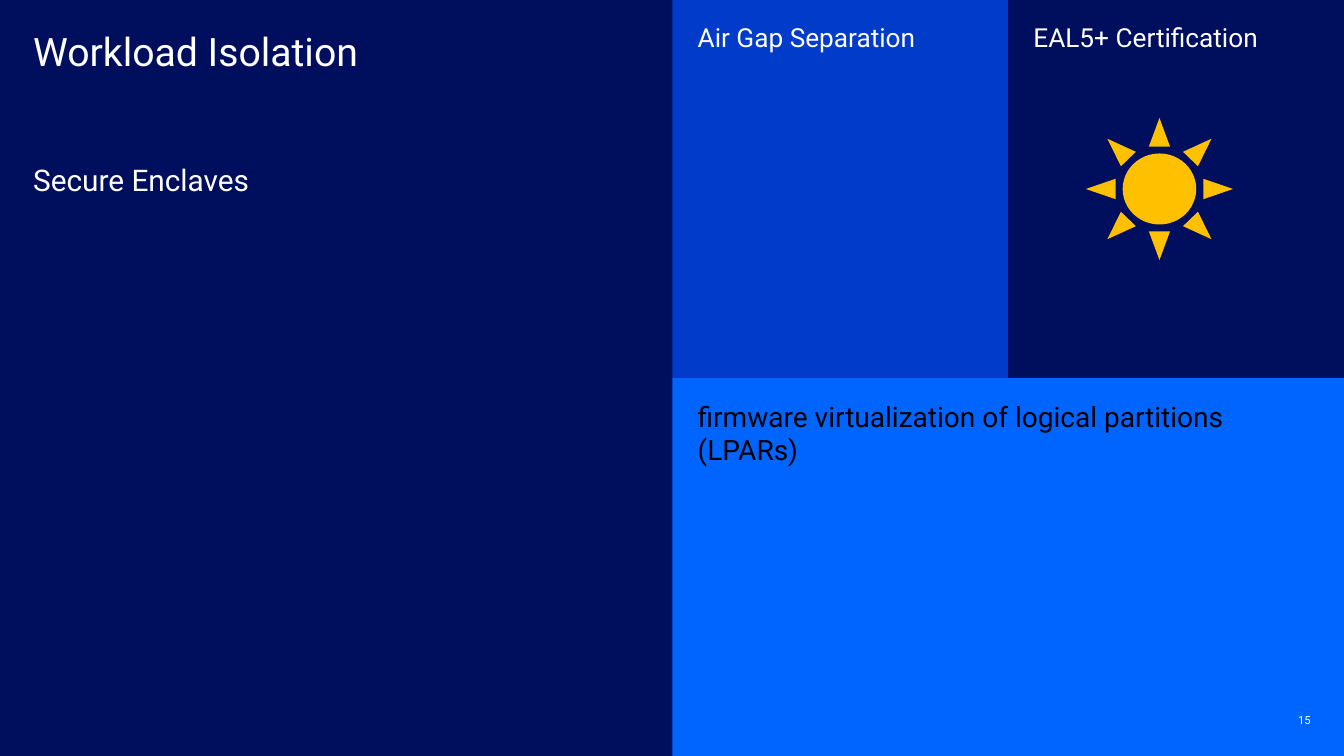
from dataclasses import dataclass

from pptx import Presentation
from pptx.dml.color import RGBColor
from pptx.enum.shapes import MSO_SHAPE as Preset
from pptx.enum.text import MSO_ANCHOR as Anchor, PP_ALIGN as Align
from pptx.shapes.autoshape import Shape
from pptx.slide import Slide
from pptx.util import Inches, Pt

FONT = "Roboto"
COLORS = {
    "navy": "000E5E",
    "royal": "003BC9",
    "azure": "0064FF",
    "gold": "FFC000",
    "white": "FFFFFF",
    "black": "000000",
}
SLIDE_W, SLIDE_H = 13.33, 7.5
MIDDLE, THREE_QUARTERS = 6.67, 10.0
HALF_H = SLIDE_H / 2
PANEL_INSETS = (0.25, 0.21, 0.25, 0.25)
NO_INSETS = (0, 0, 0, 0)


@dataclass(frozen=True)
class Box:
    left: float
    top: float
    width: float
    height: float

    def lengths(self) -> tuple[Inches, ...]:
        return tuple(Inches(v) for v in (self.left, self.top, self.width, self.height))


@dataclass(frozen=True)
class Label:
    text: str
    size: float
    box: Box
    color: str = "white"
    align: Align = Align.LEFT
    anchor: Anchor = Anchor.TOP


@dataclass(frozen=True)
class Panel:
    label: Label
    fill: str


PANELS = [
    Panel(Label("firmware virtualization of logical partitions (LPARs)", 20,
                Box(MIDDLE, HALF_H, SLIDE_W - MIDDLE, HALF_H), "black"), "azure"),
    Panel(Label("EAL5+ Certification", 18.7,
                Box(THREE_QUARTERS, 0, SLIDE_W - THREE_QUARTERS, HALF_H)), "navy"),
    Panel(Label("Air Gap Separation", 18.7,
                Box(MIDDLE, 0, THREE_QUARTERS - MIDDLE, HALF_H)), "royal"),
]
LABELS = [
    Label("Workload Isolation", 28, Box(0.33, 0.27, 6, 0.44)),
    Label("Secure Enclaves", 21.3, Box(0.33, 1.6, 6, 5.09)),
    Label("15", 8, Box(10, 7.04, 3, 0.2), align=Align.RIGHT, anchor=Anchor.MIDDLE),
]
SUN = Box(10.77, 1.17, 1.46, 1.41)


def rgb(name: str) -> RGBColor:
    return RGBColor.from_string(COLORS[name])


def write(shape: Shape, label: Label, insets: tuple[float, ...]) -> None:
    frame = shape.text_frame
    frame.text = label.text
    frame.word_wrap = True
    frame.vertical_anchor = label.anchor
    (frame.margin_left, frame.margin_top,
     frame.margin_right, frame.margin_bottom) = (Inches(v) for v in insets)
    paragraph = frame.paragraphs[0]
    paragraph.alignment = label.align
    font = paragraph.runs[0].font
    font.name, font.size = FONT, Pt(label.size)
    font.color.rgb = rgb(label.color)


def add_solid(slide: Slide, preset: Preset, box: Box, fill: str) -> Shape:
    shape = slide.shapes.add_shape(preset, *box.lengths())
    shape.shadow.inherit = False
    shape.fill.solid()
    shape.fill.fore_color.rgb = rgb(fill)
    shape.line.fill.background()
    return shape


def main() -> None:
    deck = Presentation()
    deck.slide_width, deck.slide_height = Inches(SLIDE_W), Inches(SLIDE_H)
    slide = deck.slides.add_slide(deck.slide_layouts[6])
    slide.background.fill.solid()
    slide.background.fill.fore_color.rgb = rgb("navy")

    # Coloured panels on the right half
    for panel in PANELS:
        tile = add_solid(slide, Preset.RECTANGLE, panel.label.box, panel.fill)
        write(tile, panel.label, PANEL_INSETS)

    # Title, subtitle and page number
    for label in LABELS:
        write(slide.shapes.add_textbox(*label.box.lengths()), label, NO_INSETS)

    # Sun in the certification panel
    add_solid(slide, Preset.SUN, SUN, "gold")

    deck.save("out.pptx")


if __name__ == "__main__":
    main()
